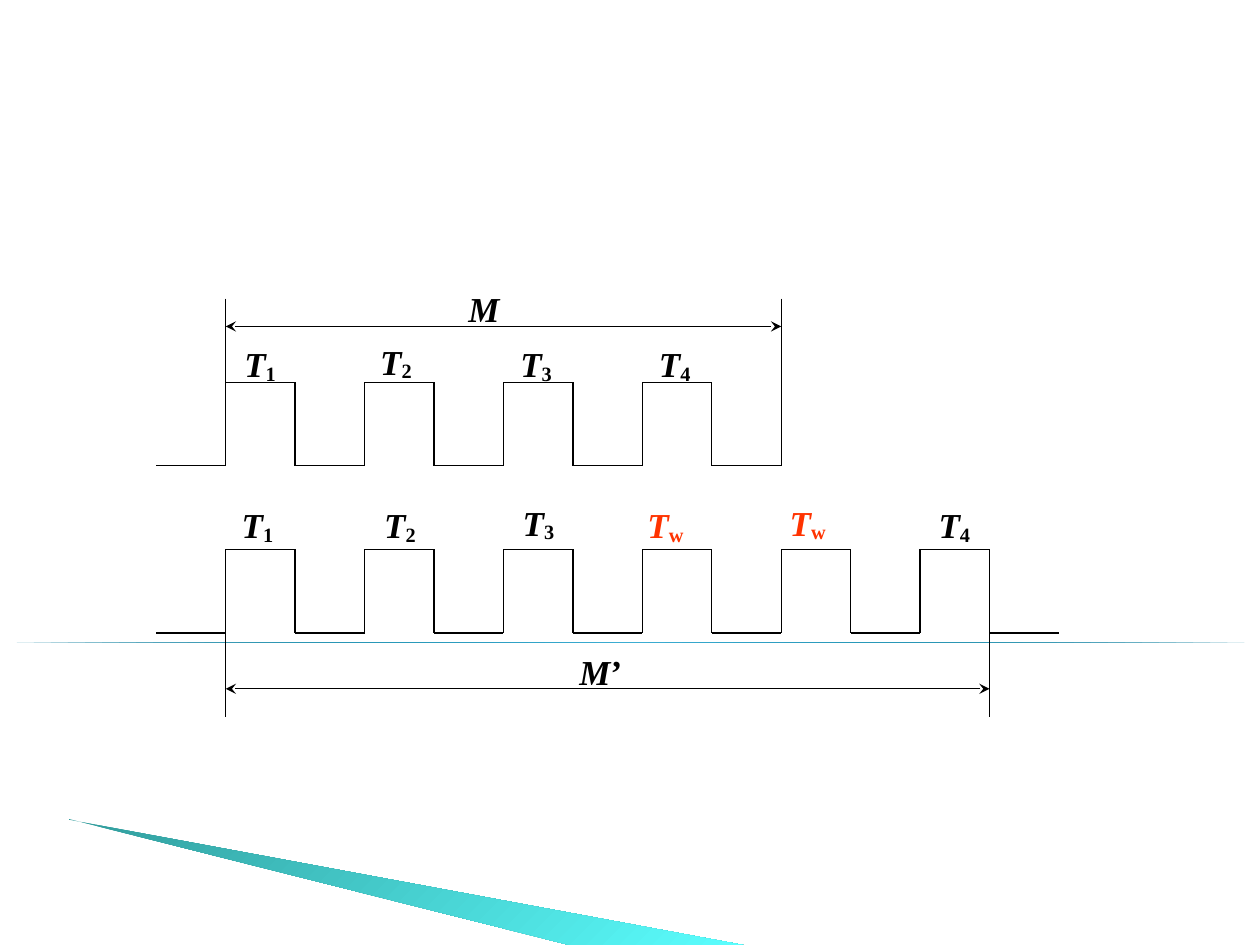
from dataclasses import dataclass

import lxml.etree
import pptx
import pptx.dml.color
import pptx.enum.shapes
import pptx.enum.text
import pptx.oxml
import pptx.oxml.ns
import pptx.util

Pt = pptx.util.Pt
RGBColor = pptx.dml.color.RGBColor
qn = pptx.oxml.ns.qn


@dataclass(frozen=True)
class Theme:
    font: str = "Times New Roman"
    label_size: float = 20
    line_width: float = 0.75
    ink: str = "000000"
    wait: str = "FF3300"
    rule: tuple = ((0, "007897"), (50, "4ABBE0"), (100, "007897"))
    wedge: tuple = ((0, "319C9C"), (100, "5BFFFF"))


THEME = Theme()
HIGH = 3  # rows between the top of a long edge and the high level
LOW = 6


def column(index):
    return Pt(89.3 + 39.68 * index)


def row(index):
    return Pt(170.6 + 15.93 * index)


def fill_gradient(shape, stops, angle):
    shape.shadow.inherit = False
    shape.line.fill.background()
    shape.fill.gradient()
    shape.fill.gradient_angle = 360 - angle  # public angle runs counter-clockwise
    stop_list = shape._element.spPr.find(qn("a:gradFill")).find(qn("a:gsLst"))
    for stop in list(stop_list):
        stop_list.remove(stop)
    for position, color in stops:
        stop = lxml.etree.SubElement(stop_list, qn("a:gs"), pos=str(position * 1000))
        lxml.etree.SubElement(stop, qn("a:srgbClr"), val=color)


def add_background(page):
    rule = page.shapes.add_shape(
        pptx.enum.shapes.MSO_SHAPE.RIGHT_TRIANGLE, 0, Pt(367.2), Pt(720.7), 0)
    fill_gradient(rule, THEME.rule, 50)
    builder = page.shapes.build_freeform(Pt(39.4), Pt(468.4))
    builder.add_line_segments(
        [(Pt(428.4), Pt(540.7)), (Pt(328.3), Pt(540.7)), (Pt(39.4), Pt(468))])
    fill_gradient(builder.convert_to_shape(), THEME.wedge, 45)


def add_line(page, start, end, arrows=False):
    """Join two (column, row) grid points."""
    line = page.shapes.add_connector(
        pptx.enum.shapes.MSO_CONNECTOR.STRAIGHT,
        column(start[0]), row(start[1]), column(end[0]), row(end[1]))
    line.line.color.rgb = RGBColor.from_string(THEME.ink)
    line.line.width = Pt(THEME.line_width)
    properties = line._element.spPr
    if arrows:
        for tag in ("a:headEnd", "a:tailEnd"):
            lxml.etree.SubElement(properties.find(qn("a:ln")), qn(tag), type="stealth")
    lxml.etree.SubElement(properties, qn("a:effectLst"))


def add_pulses(page, count, top):
    """Draw the lead-in and each pulse, without the vertical edges."""
    add_line(page, (0, top + HIGH), (1, top + HIGH))
    for start in range(1, 2 * count, 2):
        add_line(page, (start, top), (start + 1, top))
        add_line(page, (start + 1, top + HIGH), (start + 2, top + HIGH))


def add_edges(page, last, top, long_top, long_bottom):
    """Draw the vertical edges; the first and last also bound the dimension."""
    for index in range(1, last + 1):
        if index in (1, last):
            add_line(page, (index, long_top), (index, long_bottom))
        else:
            add_line(page, (index, top), (index, top + HIGH))


def add_label(page, left, top, width, symbol, suffix="", color=THEME.ink, lowered=True):
    box = page.shapes.add_textbox(Pt(left), Pt(top), Pt(width), Pt(31.7))
    frame = box.text_frame
    frame.word_wrap = True
    frame.auto_size = pptx.enum.text.MSO_AUTO_SIZE.SHAPE_TO_FIT_TEXT
    para = frame.paragraphs[0]
    para.font.name = THEME.font
    para.font.size = Pt(THEME.label_size)
    para.font.bold = True
    para.font.color.rgb = RGBColor.from_string(color)
    for text, italic in ((symbol, True), (suffix, False)):
        if text:
            span = para.add_run()
            span.text = text
            span.font.italic = italic
            if lowered and not italic:
                span._r.get_or_add_rPr().set("baseline", "-10000")


def add_state_labels(page, labels):
    for left, top, suffix in labels:
        color = THEME.wait if suffix == "w" else THEME.ink
        add_label(page, left, top, 118.8, "T", suffix, color)


def main():
    deck = pptx.Presentation()
    deck.slide_width, deck.slide_height = Pt(720), Pt(540)
    page = deck.slides.add_slide(deck.slide_layouts[6])
    add_background(page)

    add_pulses(page, 4, HIGH)
    add_edges(page, 9, HIGH, 0, LOW)
    add_line(page, (1, 1), (9, 1), arrows=True)
    add_state_labels(page, [
        (132.5, 192.2, "1"), (210.2, 190.8, "2"),
        (290.2, 192.2, "3"), (369.4, 192.2, "4")])
    add_label(page, 260.6, 160.6, 178.6, "M")

    add_pulses(page, 6, 9)
    add_edges(page, 12, 9, 9, 15)
    add_line(page, (1, 14), (12, 14), arrows=True)
    add_state_labels(page, [
        (131, 284.4, "1"), (212.4, 284.4, "2"), (291.6, 283, "3"),
        (362.9, 284.4, "w"), (444.2, 283, "w"), (529.2, 284.4, "4")])
    add_label(page, 324, 367.9, 178.6, "M", "’", lowered=False)

    deck.save("out.pptx")


if __name__ == "__main__":
    main()
